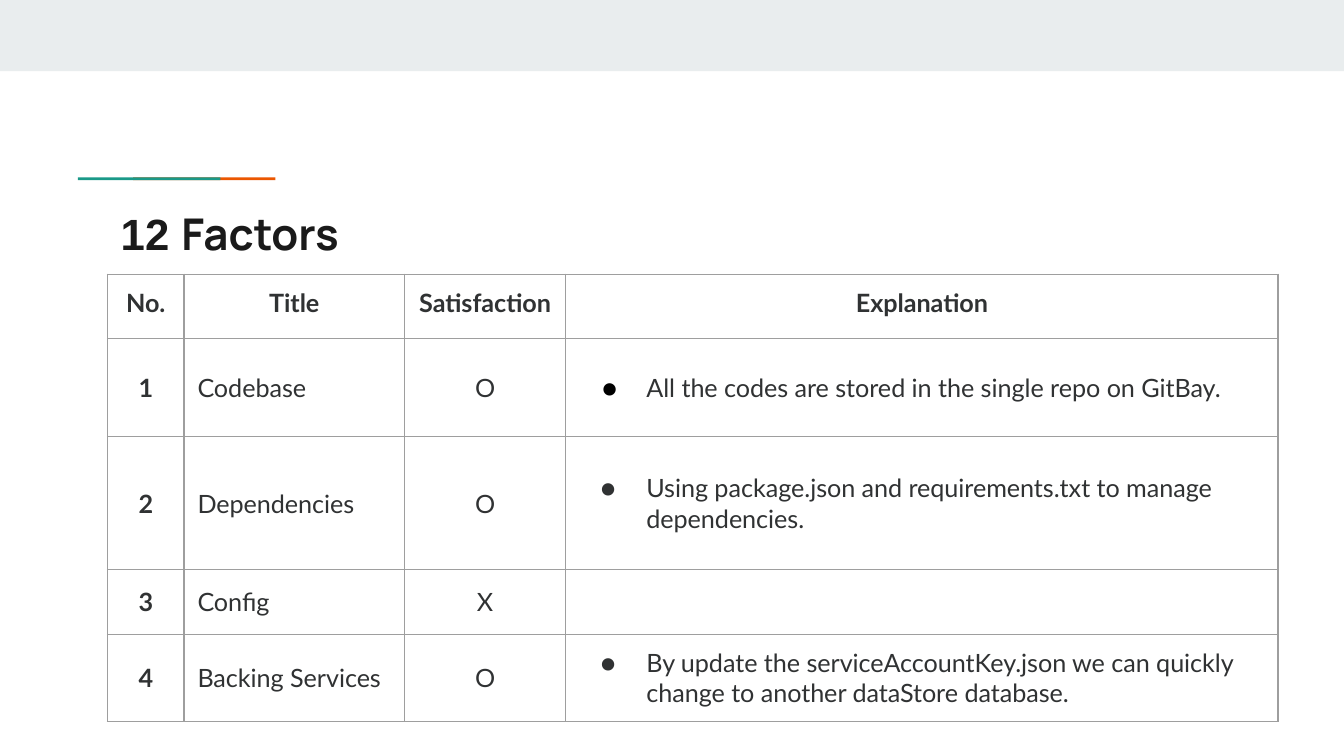
from dataclasses import dataclass

from lxml import etree
from pptx import Presentation
from pptx.dml.color import RGBColor
from pptx.enum.shapes import MSO_SHAPE
from pptx.enum.text import MSO_ANCHOR, PP_ALIGN
from pptx.oxml.ns import qn
from pptx.util import Inches, Pt

RECTANGLE = MSO_SHAPE.RECTANGLE
TOP, MIDDLE = MSO_ANCHOR.TOP, MSO_ANCHOR.MIDDLE
LEFT, CENTER = PP_ALIGN.LEFT, PP_ALIGN.CENTER


@dataclass(frozen=True)
class Theme:
    band: str = "E9EDEE"
    orange: str = "EB5600"
    teal: str = "1A9988"
    title: str = "1A1A1A"
    text: str = "303233"
    first_bullet: str = "000000"
    border: str = "9E9E9E"
    title_size: float = 23.4
    table_size: float = 13.5
    border_width: float = 0.75
    number_font: str = "Arial"
    title_font: str = "Manrope"
    table_font: str = "Lato"


HEADINGS = ("No.", "Title", "Satisfaction", "Explanation")
FACTORS = (
    ("Codebase", "O", "All the codes are stored in the single repo on GitBay."),
    ("Dependencies", "O",
     "Using package.json and requirements.txt to manage dependencies."),
    ("Config", "X", ""),
    ("Backing Services", "O",
     "By update the serviceAccountKey.json we can quickly change to another "
     "dataStore database."),
)
COLUMN_WIDTHS = (0.57, 1.64, 1.2, 5.3)
ROW_HEIGHTS = (0.48, 0.73, 0.99, 0.48, 0.48)


class SlideBuilder:
    def __init__(self, slide, theme):
        self.slide = slide
        self.theme = theme

    def bar(self, left, top, width, height, color):
        shape = self.slide.shapes.add_shape(
            RECTANGLE, Inches(left), Inches(top), Inches(width), Inches(height))
        shape.shadow.inherit = False
        shape.fill.solid()
        shape.fill.fore_color.rgb = RGBColor.from_string(color)
        shape.line.fill.background()

    def format_run(self, run, font, size, color, bold):
        run.font.name = font
        run.font.size = Pt(size)
        run.font.bold = bold
        run.font.color.rgb = RGBColor.from_string(color)

    def title(self, left, top, width, height, spans):
        """Add a one-line title from (text, font) spans."""
        box = self.slide.shapes.add_textbox(
            Inches(left), Inches(top), Inches(width), Inches(height))
        frame = box.text_frame
        frame.word_wrap = True
        frame.vertical_anchor = TOP
        frame.margin_left = frame.margin_right = Inches(0.1)
        frame.margin_top = frame.margin_bottom = Inches(0.1)
        for text, font in spans:
            span = frame.paragraphs[0].add_run()
            span.text = text
            self.format_run(span, font, self.theme.title_size, self.theme.title, True)

    def table(self, left, top, widths, heights):
        table = self.slide.shapes.add_table(
            len(heights), len(widths), Inches(left), Inches(top),
            Inches(sum(widths)), Inches(sum(heights))).table
        table.first_row = table.horz_banding = False
        for column, width in zip(table.columns, widths):
            column.width = Inches(width)
        for row, height in zip(table.rows, heights):
            row.height = Inches(height)
        return table

    def cell(self, cell, text, align=LEFT, bold=False, anchor=MIDDLE):
        cell.margin_left = cell.margin_right = Inches(0.1)
        cell.margin_top = cell.margin_bottom = Inches(0.1)
        cell.vertical_anchor = anchor
        self.borders(cell)
        cell.fill.background()
        para = cell.text_frame.paragraphs[0]
        para.alignment = align
        if text:
            para.text = text
            self.format_run(para.runs[0], self.theme.table_font,
                            self.theme.table_size, self.theme.text, bold)
        else:
            # An empty cell must not fall back to 18 pt and stretch its row.
            etree.SubElement(para._p, qn("a:endParaRPr"),
                             sz=str(int(self.theme.table_size * 100)))

    def borders(self, cell):
        properties = cell._tc.get_or_add_tcPr()
        for side in ("a:lnL", "a:lnR", "a:lnT", "a:lnB"):
            line = etree.SubElement(properties, qn(side),
                                    w=str(Pt(self.theme.border_width)))
            fill = etree.SubElement(line, qn("a:solidFill"))
            etree.SubElement(fill, qn("a:srgbClr"), val=self.theme.border)

    def bullet(self, para, color, hanging):
        properties = para._p.get_or_add_pPr()
        properties.set("marL", str(Inches(0.5)))
        properties.set("indent", str(-Inches(hanging)))
        bullet_color = etree.SubElement(properties, qn("a:buClr"))
        etree.SubElement(bullet_color, qn("a:srgbClr"), val=color)
        etree.SubElement(properties, qn("a:buSzPts"),
                         val=str(int(self.theme.table_size * 100)))
        etree.SubElement(properties, qn("a:buFont"), typeface=self.theme.table_font)
        etree.SubElement(properties, qn("a:buChar"), char="●")


def main():
    deck = Presentation()
    deck.slide_width = Inches(10)
    deck.slide_height = Inches(10 * 9 / 16)
    theme = Theme()
    page = SlideBuilder(deck.slides.add_slide(deck.slide_layouts[6]), theme)

    page.bar(0, 0, 10, 0.53, theme.band)
    page.bar(0.99, 1.32, 1.06, 0.02, theme.orange)
    page.bar(0.58, 1.32, 1.06, 0.02, theme.teal)
    page.title(0.8, 1.44, 8.41, 0.59,
               (("12 ", theme.number_font), ("Factors", theme.title_font)))

    table = page.table(0.8, 2.04, COLUMN_WIDTHS, ROW_HEIGHTS)
    for column, heading in enumerate(HEADINGS):
        page.cell(table.cell(0, column), heading, CENTER, bold=True, anchor=TOP)
    for number, (name, mark, explanation) in enumerate(FACTORS, start=1):
        page.cell(table.cell(number, 0), str(number), CENTER, bold=True)
        page.cell(table.cell(number, 1), name)
        page.cell(table.cell(number, 2), mark, CENTER)
        detail = table.cell(number, 3)
        page.cell(detail, explanation)
        if explanation:
            first = number == 1
            page.bullet(detail.text_frame.paragraphs[0],
                        theme.first_bullet if first else theme.text,
                        0.33 if first else 0.34)

    deck.save("out.pptx")


if __name__ == "__main__":
    main()
